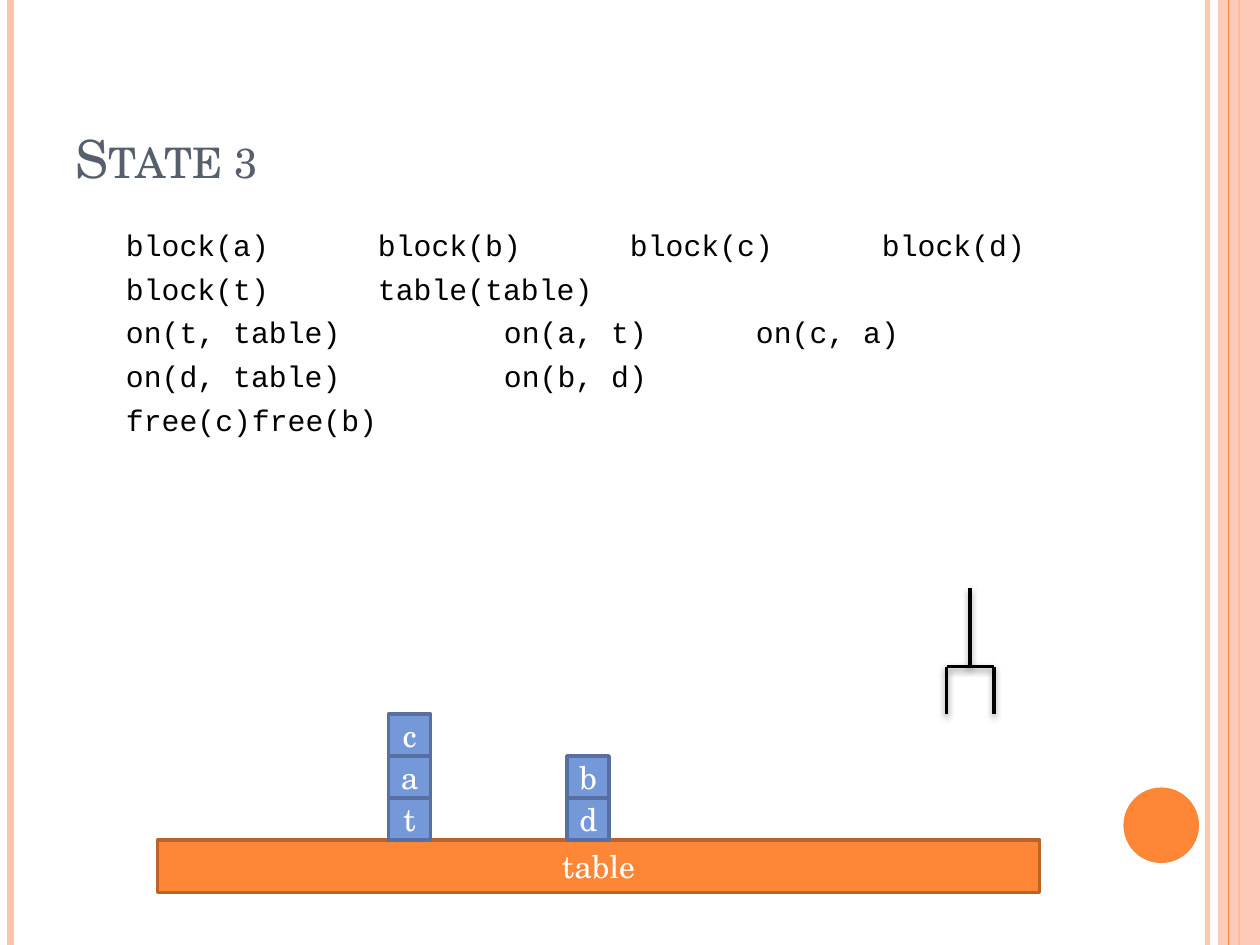
import dataclasses

import lxml.etree
import pptx
import pptx.dml.color
import pptx.enum.shapes
import pptx.enum.text
import pptx.oxml
import pptx.oxml.ns
import pptx.util

SHAPE = pptx.enum.shapes.MSO_SHAPE
ANCHOR = pptx.enum.text.MSO_ANCHOR
ALIGN = pptx.enum.text.PP_ALIGN
qn = pptx.oxml.ns.qn


@dataclasses.dataclass(frozen=True)
class Theme:
    orange: str = "FE8637"
    orange_edge: str = "BC6329"
    peach: str = "FEC3AE"
    blue: str = "7598D9"
    blue_edge: str = "5770A1"
    slate: str = "575F6D"
    black: str = "000000"
    white: str = "FFFFFF"
    serif: str = "TeX Gyre Schola"
    mono: str = "Courier New"
    title_size: int = 30
    label_size: int = 18
    fact_size: int = 17
    edge: int = 2


def rgb(color):
    return pptx.dml.color.RGBColor.from_string(color)


def set_alpha(element, percent):
    color = next(element.iter(qn("a:srgbClr")))
    lxml.etree.SubElement(color, qn("a:alpha"), val=str(percent * 1000))


def write(para, text, *, font, size, color, align=ALIGN.LEFT, before=0, small_caps=False):
    para.alignment = align
    para.space_before = pptx.util.Pt(before)
    span = para.add_run()
    span.text = text
    span.font.name = font
    span.font.size = pptx.util.Pt(size)
    span.font.color.rgb = rgb(color)
    if small_caps:
        span.font._element.set("cap", "small")


def set_tabs(para, step, count):
    """Place left tab stops every step inches."""
    tabs = lxml.etree.SubElement(para._p.get_or_add_pPr(), qn("a:tabLst"))
    for number in range(1, count + 1):
        lxml.etree.SubElement(tabs, qn("a:tab"), algn="l",
                              pos=str(pptx.util.Inches(step * number)))


class SlideBuilder:
    """Draws on a grid of 120 columns and 90 rows, twelve to the inch."""
    CELL = pptx.util.Inches(1) // 12
    COLUMNS, ROWS = 120, 90

    def __init__(self, deck, theme):
        self.theme = theme
        deck.slide_width = self.CELL * self.COLUMNS
        deck.slide_height = self.CELL * self.ROWS
        self.slide = deck.slides.add_slide(deck.slide_layouts[6])

    def lengths(self, *cells):
        return [round(cell * self.CELL) for cell in cells]

    def line(self, start, end, color, width, alpha=None, shadow=False):
        connector = self.slide.shapes.add_connector(
            pptx.enum.shapes.MSO_CONNECTOR.STRAIGHT, *self.lengths(*start, *end))
        connector.line.color.rgb = rgb(color)
        connector.line.width = pptx.util.Pt(width)
        properties = connector._element.spPr
        if alpha:
            set_alpha(properties, alpha)
        effects = lxml.etree.SubElement(properties, qn("a:effectLst"))
        if shadow:
            outer = lxml.etree.SubElement(
                effects, qn("a:outerShdw"), blurRad=str(pptx.util.Pt(4)),
                dist=str(pptx.util.Pt(2)), dir=str(90 * 60000), rotWithShape="0")
            lxml.etree.SubElement(outer, qn("a:srgbClr"), val=self.theme.black)
            set_alpha(outer, 40)

    def shape(self, kind, place, fill, edge=None, alpha=None, label=None):
        shape = self.slide.shapes.add_shape(kind, *self.lengths(*place))
        shape.shadow.inherit = False
        shape.fill.solid()
        shape.fill.fore_color.rgb = rgb(fill)
        if alpha:
            set_alpha(shape._element.spPr, alpha)
        if edge:
            shape.line.color.rgb = rgb(edge)
            shape.line.width = pptx.util.Pt(self.theme.edge)
        else:
            shape.line.fill.background()
        if label:
            shape.text_frame.vertical_anchor = ANCHOR.MIDDLE
            write(shape.text_frame.paragraphs[0], label, font=self.theme.serif,
                  size=self.theme.label_size, color=self.theme.white, align=ALIGN.CENTER)

    def text(self, place, lines, anchor=ANCHOR.TOP, inset=1.2, tabs=0, **style):
        frame = self.slide.shapes.add_textbox(*self.lengths(*place)).text_frame
        frame.word_wrap = True
        frame.vertical_anchor = anchor
        frame.margin_left = self.lengths(inset)[0]
        for number, words in enumerate(lines):
            para = frame.add_paragraph() if number else frame.paragraphs[0]
            write(para, words, **style)
            if tabs:
                set_tabs(para, 1, tabs)

    def stack(self, left, floor, names, side=4):
        """Pile square blocks, first name lowest, on the floor row."""
        for level, name in enumerate(names, 1):
            self.shape(SHAPE.RECTANGLE, (left, floor - level * side, side, side),
                       self.theme.blue, self.theme.blue_edge, label=name)

    def gripper(self, center, top, bar, bottom, reach):
        left, right = center - reach, center + reach
        for start, end in (((center, top), (center, bar)), ((left, bar), (right, bar)),
                           ((right, bottom), (right, bar)), ((left, bottom), (left, bar))):
            self.line(start, end, self.theme.black, self.theme.edge, shadow=True)


def main():
    theme = Theme()
    deck = pptx.Presentation()
    page = SlideBuilder(deck, theme)

    def stripe(column, color, width, alpha=None):
        page.line((column, 0), (column, page.ROWS), color, width, alpha)

    stripe(115, theme.peach, 3, alpha=93)
    stripe(1, theme.peach, 4.5)
    stripe(118, theme.orange, 1.5)
    page.shape(SHAPE.RECTANGLE, (116, 0, 4, page.ROWS), theme.peach, alpha=87)
    stripe(117, theme.orange, 0.75)
    page.shape(SHAPE.OVAL, (107, 75, 7.2, 7.2), theme.orange)

    page.text((6, 3.6, 98, 15), ["State 3"], anchor=ANCHOR.BOTTOM, font=theme.serif,
              size=theme.title_size, color=theme.slate, small_caps=True)
    facts = ["block(a)\tblock(b)\tblock(c)\tblock(d)",
             "block(t)\ttable(table)",
             "on(t, table)\t\ton(a, t)\ton(c, a)",
             "on(d, table)\t\ton(b, d)",
             "free(c)\tfree(b)"]
    page.text((6, 21, 101, 64), facts, inset=6, tabs=7, font=theme.mono,
              size=theme.fact_size, color=theme.black, before=4.6)

    floor = 80
    page.shape(SHAPE.RECTANGLE, (15, floor, 84, 5), theme.orange, theme.orange_edge,
               label="table")
    page.stack(37, floor, "tac")
    page.gripper(center=92.4, top=56, bar=63.5, bottom=68, reach=2.25)
    page.stack(54, floor, "db")
    deck.save("out.pptx")


if __name__ == "__main__":
    main()
